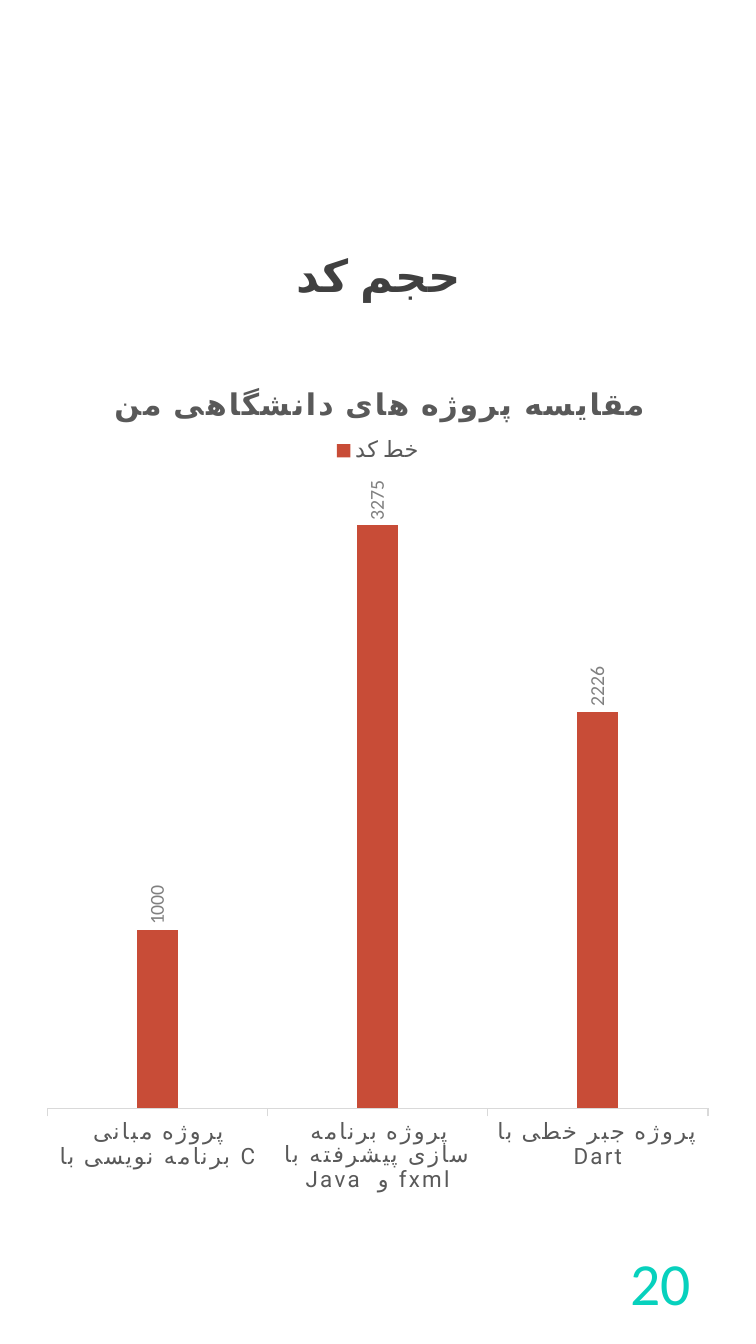
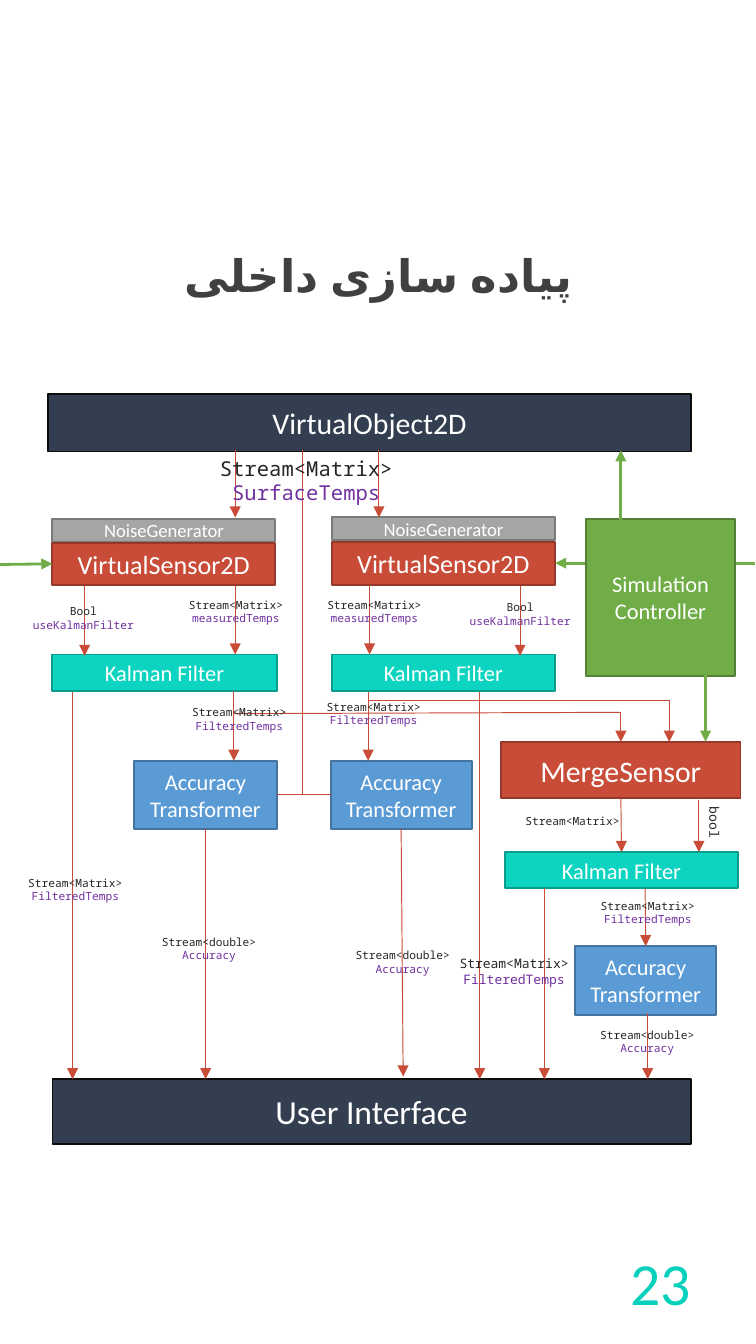
from dataclasses import dataclass

from lxml import etree
from pptx import Presentation
from pptx import util as u
from pptx.chart.data import CategoryChartData
from pptx.dml.color import RGBColor
from pptx.enum import chart as charts
from pptx.enum import lang, shapes, text
from pptx.oxml.ns import qn


@dataclass(frozen=True)
class Theme:
    heading: str = "Roboto"
    body: str = "Calibri"
    code: str = "Noto Sans Mono"
    title: str = "404040"
    number: str = "07D1BD"
    white: str = "FFFFFF"
    type_name: str = "262626"
    field_name: str = "7030A0"
    chart_text: str = "595959"
    value_text: str = "808080"
    axis: str = "D9D9D9"
    flow: str = "C84C37"
    control: str = "70AD47"
    title_size: float = 24
    number_size: float = 32
    chart_title_size: float = 16
    chart_size: float = 12
    value_size: float = 10.6
    label_size: float = 6
    letter_gap: str = "120"
    thin: float = 0.5
    thick: float = 1.5


THEME = Theme()

BOX_STYLES = {
    "frame": ("333F50", "0D0D0D"),
    "sensor": ("C84C37", "943829"),
    "kalman": ("0DD4C0", "0A9D8E"),
    "accuracy": ("5B9BD5", "43739E"),
    "noise": ("A5A5A5", "7A7A7A"),
    "control": ("70AD47", "538035"),
}

BOXES = {
    "object": ("frame", ["VirtualObject2D"], 16, 0.36, 2.93, 4.78, 0.43),
    "sensor1": ("sensor", ["VirtualSensor2D"], 14, 0.39, 4.04, 1.66, 0.31),
    "sensor2": ("sensor", ["VirtualSensor2D"], 14, 2.47, 4.03, 1.66, 0.32),
    "noise1": ("noise", ["NoiseGenerator"], 10, 0.39, 3.86, 1.66, 0.17),
    "noise2": ("noise", ["NoiseGenerator"], 10, 2.47, 3.85, 1.66, 0.17),
    "merge": ("sensor", ["MergeSensor"], 16, 3.73, 5.52, 1.78, 0.42),
    "interface": ("frame", ["User Interface"], 18, 0.39, 8.03, 4.75, 0.48),
    "kalman1": ("kalman", ["Kalman Filter"], 12, 0.39, 4.87, 1.67, 0.27),
    "kalman2": ("kalman", ["Kalman Filter"], 12, 2.47, 4.87, 1.66, 0.27),
    "kalman3": ("kalman", ["Kalman Filter"], 12, 3.76, 6.34, 1.73, 0.27),
    "accuracy1": ("accuracy", ["Accuracy Transformer"], 12, 1, 5.66, 1.06, 0.51),
    "accuracy2": ("accuracy", ["Accuracy Transformer"], 12, 2.46, 5.66, 1.05, 0.51),
    "accuracy3": ("accuracy", ["Accuracy Transformer"], 12, 4.28, 7.04, 1.05, 0.51),
    "controller": ("control", ["Simulation", "Controller"], 12, 4.36, 3.86, 1.11, 1.17),
}

TOP, LEFT, BOTTOM, RIGHT = range(4)

DROPS = [
    (1.75, 3.35, 3.85), (2.82, 3.35, 3.85),
    (0.63, 4.36, 4.88), (1.75, 4.36, 4.87),
    (2.75, 4.35, 4.87), (3.87, 4.36, 4.88),
    (1.74, 5.14, 5.66), (2.74, 5.15, 5.66),
    (4.98, 5.21, 5.52), (5.2, 5.95, 6.34),
    (0.54, 5.15, 8.03), (3.57, 5.15, 8.03),
    (4.05, 6.61, 8.03), (4.82, 7.54, 8.03),
]
PLAIN_FLOWS = [
    (2.74, 5.21, 4.98, 5.21), (1.74, 5.31, 4.62, 5.3), (2.25, 3.35, 2.25, 5.91),
]
JOINED_FLOWS = [
    ((4.62, 5.3, 4.62, 5.52), None, ("merge", TOP)),
    ((4.62, 5.94, 4.62, 6.34), ("merge", BOTTOM), ("kalman3", TOP)),
    ((4.8, 6.61, 4.8, 7.04), None, ("accuracy3", TOP)),
    ((1.53, 6.16, 1.53, 8.03), ("accuracy1", BOTTOM), None),
    ((2.98, 6.16, 3, 8.01), ("accuracy2", BOTTOM), None),
]
CONTROLS = [
    ((4.62, 3.94, 4.62, 3.35), None),
    ((4.35, 4.19, 4.13, 4.19), ("sensor2", RIGHT)),
    ((0, 4.2, 0.39, 4.19), ("sensor1", LEFT)),
    ((5.25, 5.01, 5.25, 5.52), None),
]

LABEL_GROUPS = [
    (["Stream<Matrix>", "SurfaceTemps"], 11, 1.66, 0.47, [(1.45, 3.34)]),
    (["Bool", "useKalmanFilter"], THEME.label_size, 0.96, 0.3,
     [(0.14, 4.45), (3.39, 4.42)]),
    (["Stream<Matrix>", "measuredTemps"], THEME.label_size, 0.91, 0.3,
     [(1.3, 4.4), (2.33, 4.4)]),
    (["Stream<Matrix>", "FilteredTemps"], THEME.label_size, 0.94, 0.3,
     [(1.31, 5.2), (2.31, 5.16), (0.09, 6.47), (4.35, 6.64)]),
    (["Stream<Matrix>", "FilteredTemps"], 7, 1.05, 0.34, [(3.3, 7.06)]),
    (["Stream<double>", "Accuracy"], THEME.label_size, 1.29, 0.3,
     [(0.91, 6.91), (2.35, 7.01), (4.17, 7.6)]),
    (["Stream<Matrix>"], THEME.label_size, 0.96, 0.2, [(3.78, 6.01)]),
]


def assign(target, values):
    for name, value in values.items():
        setattr(target, name, value)


def style_font(font, name, size, colour, bold=False):
    assign(font, {"name": name, "size": u.Pt(size), "bold": bold})
    font.color.rgb = RGBColor.from_string(colour)


def write(box, lines, name, size, colours, align=text.PP_ALIGN.CENTER,
          anchor=text.MSO_ANCHOR.MIDDLE, bold=False):
    frame = box.text_frame
    assign(frame, {"word_wrap": True, "vertical_anchor": anchor})
    for index, line in enumerate(lines):
        para = frame.add_paragraph() if index else frame.paragraphs[0]
        para.alignment = align
        span = para.add_run()
        span.text = line
        style_font(span.font, name, size, colours[index % len(colours)], bold)
    return frame.paragraphs[0]


def add_text_box(page, *place):
    return page.shapes.add_textbox(*map(u.Inches, place))


def add_page(deck, title, number):
    page = deck.slides.add_slide(deck.slide_layouts[6])
    para = write(add_text_box(page, 0.39, 1.67, 4.85, 0.8), [title], THEME.heading,
                 THEME.title_size, [THEME.title], bold=True)
    para.line_spacing = 0.9
    para.runs[0].font.language_id = lang.MSO_LANGUAGE_ID.FARSI
    para._p.get_or_add_pPr().set("rtl", "1")
    write(add_text_box(page, 3.97, 9.27, 1.27, 0.53), [number], THEME.body,
          THEME.number_size, [THEME.number], text.PP_ALIGN.RIGHT)
    return page


def add_box(page, kind, lines, size, *place):
    fill, line = BOX_STYLES[kind]
    preset = shapes.MSO_SHAPE.RECTANGLE
    if kind == "kalman":
        preset = shapes.MSO_SHAPE.ROUNDED_RECTANGLE
    box = page.shapes.add_shape(preset, *map(u.Inches, place))
    if kind == "kalman":
        box.adjustments[0] = 0
    box.shadow.inherit = False
    box.fill.solid()
    box.fill.fore_color.rgb = RGBColor.from_string(fill)
    box.line.color.rgb = RGBColor.from_string(line)
    box.line.width = u.Pt(1)
    write(box, lines, THEME.body, size, [THEME.white])
    return box


def add_line(page, ends, colour, width, arrow=True, begin=None, end=None):
    line = page.shapes.add_connector(shapes.MSO_CONNECTOR.STRAIGHT,
                                     *map(u.Inches, ends))
    if begin:
        line.begin_connect(*begin)
    if end:
        line.end_connect(*end)
    line.line.color.rgb = RGBColor.from_string(colour)
    line.line.width = u.Pt(width)
    properties = line._element.spPr
    if arrow:
        head = etree.SubElement(properties.find(qn("a:ln")), qn("a:tailEnd"))
        head.set("type", "triangle")
    etree.SubElement(properties, qn("a:effectLst"))


def add_label(page, lines, size, *place):
    box = add_text_box(page, *place)
    write(box, lines, THEME.code, size, [THEME.type_name, THEME.field_name],
          anchor=text.MSO_ANCHOR.TOP)
    box.text_frame.auto_size = text.MSO_AUTO_SIZE.SHAPE_TO_FIT_TEXT
    return box


def place_chart_part(part, **fractions):
    for old in part.findall(qn("c:layout")):
        part.remove(old)
    layout = etree.Element(qn("c:layout"))
    manual = etree.SubElement(layout, qn("c:manualLayout"))
    settings = {"xMode": "edge", "yMode": "edge", **fractions}
    if "w" in fractions:
        settings = {"layoutTarget": "inner", **settings}
    for name, value in settings.items():
        etree.SubElement(manual, qn(f"c:{name}")).set("val", str(value))
    overlay = part.find(qn("c:overlay"))
    if overlay is None:
        part.insert(0, layout)
    else:
        overlay.addprevious(layout)


def add_code_chart(page):
    data = CategoryChartData()
    data.categories = ["پروژه مبانی برنامه نویسی با C",
                       "پروژه برنامه سازی پیشرفته با Java  و fxml",
                       "پروژه جبر خطی با Dart"]
    data.add_series("خط کد", [1000, 3275, 2226])
    place = map(u.Inches, (0.25, 2.66, 5.12, 6.35))
    chart = page.shapes.add_chart(charts.XL_CHART_TYPE.COLUMN_CLUSTERED,
                                  *place, data).chart
    assign(chart.font, {"name": THEME.body, "size": u.Pt(10)})

    span = chart.chart_title.text_frame.paragraphs[0].add_run()
    span.text = "مقایسه پروژه های دانشگاهی من"
    style_font(span.font, THEME.heading, THEME.chart_title_size,
               THEME.chart_text, True)

    chart.has_legend = True
    assign(chart.legend, {"position": charts.XL_LEGEND_POSITION.TOP,
                          "include_layout": False})
    style_font(chart.legend.font, THEME.heading, THEME.chart_size, THEME.chart_text)

    assign(chart.value_axis, {"visible": False, "has_major_gridlines": False,
                              "minimum_scale": 0, "maximum_scale": 3500})
    axis = chart.category_axis
    axis.major_tick_mark = charts.XL_TICK_MARK.OUTSIDE
    axis.format.line.color.rgb = RGBColor.from_string(THEME.axis)
    axis.format.line.width = u.Pt(0.75)
    style_font(axis.tick_labels.font, THEME.heading, THEME.chart_size, THEME.chart_text)
    for font in (span.font, axis.tick_labels.font):
        font._element.set("spc", THEME.letter_gap)

    plot = chart.plots[0]
    assign(plot, {"gap_width": 444, "overlap": -90, "vary_by_categories": False})
    series = plot.series[0]
    series.format.fill.solid()
    series.format.fill.fore_color.rgb = RGBColor.from_string(THEME.flow)
    labels = series.data_labels
    assign(labels, {"show_value": True,
                    "position": charts.XL_LABEL_POSITION.OUTSIDE_END})
    style_font(labels.font, THEME.body, THEME.value_size, THEME.value_text)
    labels._element.find(f"{qn('c:txPr')}/{qn('a:bodyPr')}").set("rot", "-5400000")

    body = chart._chartSpace.find(qn("c:chart"))
    place_chart_part(body.find(qn("c:title")), x=0.11, y=0.03)
    place_chart_part(body.find(qn("c:legend")), x=0.43, y=0.09)
    place_chart_part(body.find(qn("c:plotArea")), x=0.02, y=0.15, w=0.96, h=0.73)


def add_flow_diagram(page):
    boxes = {name: add_box(page, *values) for name, values in BOXES.items()}

    def site(joint):
        return joint and (boxes[joint[0]], joint[1])

    flow = (THEME.flow, THEME.thin)
    control = (THEME.control, THEME.thick)
    for x, top, bottom in DROPS:
        add_line(page, (x, top, x, bottom), *flow)
    for ends in PLAIN_FLOWS:
        add_line(page, ends, *flow, arrow=False)
    for ends, begin, end in JOINED_FLOWS:
        add_line(page, ends, *flow, begin=site(begin), end=site(end))
    add_line(page, (2.05, 5.91, 2.46, 5.91), *flow, arrow=False,
             begin=site(("accuracy1", RIGHT)), end=site(("accuracy2", LEFT)))
    for ends, end in CONTROLS:
        add_line(page, ends, *control, end=site(end))
    add_line(page, (5.48, 4.19, 5.62, 4.19), *control, arrow=False)

    for lines, size, width, height, corners in LABEL_GROUPS:
        for left, top in corners:
            add_label(page, lines, size, left, top, width, height)
    add_label(page, ["bool"], 7, 5.08, 6.01, 0.47, 0.22).rotation = 90


def main():
    deck = Presentation()
    height = u.Inches(10)
    assign(deck, {"slide_width": height * 9 // 16, "slide_height": height})
    add_code_chart(add_page(deck, "حجم کد", "20"))
    add_flow_diagram(add_page(deck, "پیاده سازی داخلی", "23"))
    deck.save("out.pptx")


if __name__ == "__main__":
    main()
